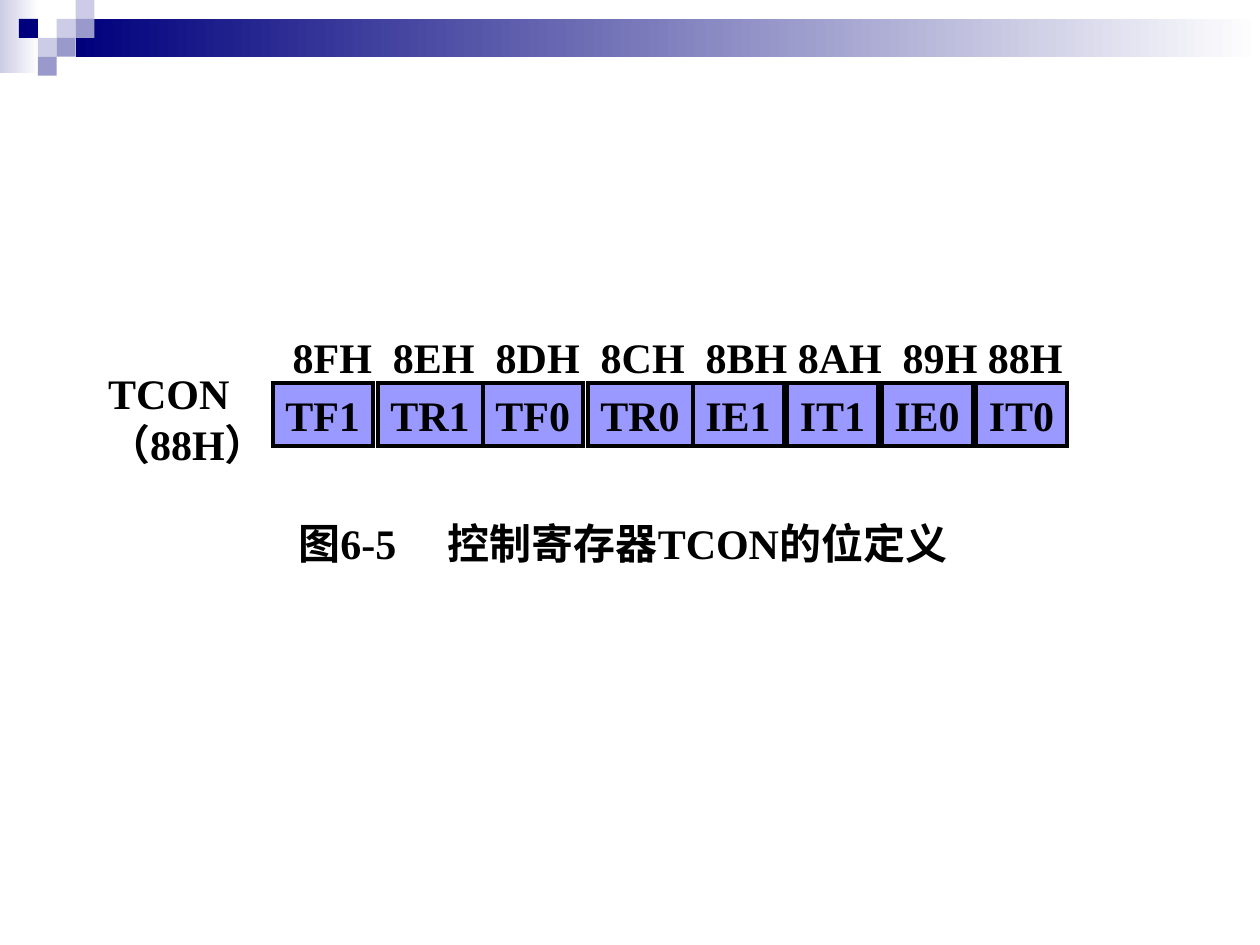
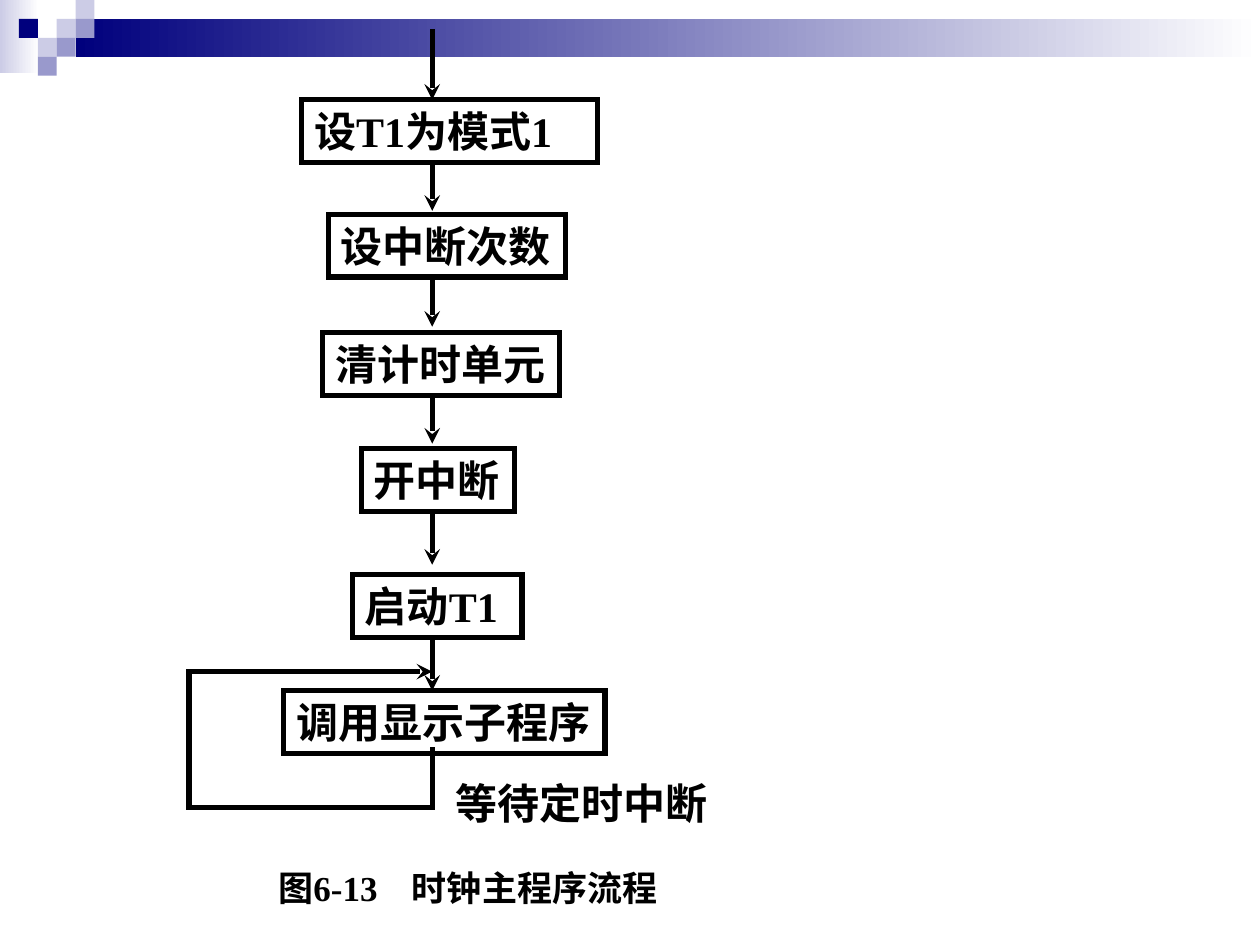
from dataclasses import dataclass
from itertools import pairwise
from typing import Optional

from lxml import etree
from pptx import Presentation
from pptx.dml.color import RGBColor
from pptx.enum.shapes import MSO_CONNECTOR, MSO_SHAPE
from pptx.enum.text import MSO_ANCHOR, MSO_AUTO_SIZE, PP_ALIGN
from pptx.oxml.ns import qn
from pptx.util import Pt

RECTANGLE = MSO_SHAPE.RECTANGLE
STRAIGHT = MSO_CONNECTOR.STRAIGHT
LEFT = PP_ALIGN.LEFT

WHITE = RGBColor(0xFF, 0xFF, 0xFF)
BLACK = RGBColor(0x00, 0x00, 0x00)
NAVY = RGBColor(0x00, 0x00, 0x7D)
PALE = RGBColor(0xCC, 0xCC, 0xE6)
MUTED = RGBColor(0x99, 0x99, 0xCC)
PERIWINKLE = RGBColor(0x99, 0x99, 0xFF)

FRAME_FORMAT = {
    "word_wrap": False,
    "auto_size": MSO_AUTO_SIZE.SHAPE_TO_FIT_TEXT,
    "vertical_anchor": MSO_ANCHOR.TOP,
}
FONT_FORMAT = {"name": "Times New Roman", "bold": True}

UNIT = 10.8  # side of one header square
ROW_HEIGHT = 36
FLOW_X = 247  # vertical axis of the flow
FLOW_LINE = 3


@dataclass(frozen=True)
class Area:
    left: float
    top: float
    width: float
    height: float = ROW_HEIGHT

    def lengths(self) -> tuple:
        return Pt(self.left), Pt(self.top), Pt(self.width), Pt(self.height)


@dataclass(frozen=True)
class Square:
    column: int
    row: int
    color: RGBColor


@dataclass(frozen=True)
class Bit:
    name: str
    address: str
    pitch: float
    width: float
    address_tab: float


@dataclass(frozen=True)
class Step:
    text: str
    area: Area
    arrow_top: float
    arrow_length: float = 27.5


SQUARES = [
    Square(3, 1, PALE), Square(4, 0, PALE), Square(4, 1, MUTED),
    Square(2, 2, PALE), Square(1, 1, NAVY), Square(3, 2, MUTED),
    Square(2, 3, MUTED),
]

BITS = [
    Bit("TF1", "8FH", 60, 57, 5.4),
    Bit("TR1", "8EH", 60, 60, 62.6),
    Bit("TF0", "8DH", 60, 57, 121.4),
    Bit("TR0", "8CH", 60, 60, 181.4),
    Bit("IE1", "8BH", 54, 52, 241.4),
    Bit("IT1", "8AH", 54, 52, 294),
    Bit("IE0", "89H", 54, 52, 354),
    Bit("IT0", "88H", 54, 52, 402.6),
]

STEPS = [
    Step("设T1为模式1", Area(172.4, 57, 169), 18, 39),
    Step("设中断次数", Area(187.6, 122.4, 135.5), 93),
    Step("清计时单元", Area(184.4, 190, 135.5), 159.2),
    Step("开中断", Area(206.4, 256.4, 87.5), 226),
    Step("启动T1", Area(201.4, 328.4, 97), 295.2),
    Step("调用显示子程序", Area(162.2, 394.6, 183.5), 367.2),
]

LOOP_CORNERS = [(FLOW_X, 428.4), (FLOW_X, 461.5), (108, 461.5),
                (108, 383.8), (FLOW_X, 383.8)]


def apply_format(target, values: dict) -> None:
    for attribute, value in values.items():
        setattr(target, attribute, value)


def write_text(shape, text: str, size: float, tabs: tuple = ()) -> None:
    frame = shape.text_frame
    apply_format(frame, FRAME_FORMAT)
    frame.text = text
    for paragraph in frame.paragraphs:
        paragraph.alignment = LEFT
        if tabs:
            stops = etree.SubElement(paragraph._p.get_or_add_pPr(), qn("a:tabLst"))
            for position in tabs:
                etree.SubElement(stops, qn("a:tab"), pos=str(Pt(position)), algn="l")
        for run in paragraph.runs:
            apply_format(run.font, {**FONT_FORMAT, "size": Pt(size)})
            run.font.color.rgb = BLACK


def add_label(slide, text: str, area: Area, size: float = 24, tabs: tuple = ()) -> None:
    write_text(slide.shapes.add_textbox(*area.lengths()), text, size, tabs)


def draw_black_line(line, width: float):
    """Set a black line with sharp corners and square ends."""
    line.color.rgb = BLACK
    line.width = Pt(width)
    outline = line._get_or_add_ln()
    outline.set("cap", "sq")
    etree.SubElement(outline, qn("a:miter"), lim="800000")
    return outline


def add_rectangle(slide, area: Area, color: Optional[RGBColor] = None,
                  line_width: float = 0):
    rectangle = slide.shapes.add_shape(RECTANGLE, *area.lengths())
    rectangle.shadow.inherit = False
    if color is None:
        rectangle.fill.background()
    else:
        rectangle.fill.solid()
        rectangle.fill.fore_color.rgb = color
    if line_width:
        draw_black_line(rectangle.line, line_width)
    else:
        rectangle.line.fill.background()
    return rectangle


def add_fading_band(slide, area: Area, color: RGBColor) -> None:
    fill = add_rectangle(slide, area).fill
    fill.gradient()
    fill.gradient_angle = 0
    for stop, stop_color in zip(fill.gradient_stops, (color, WHITE)):
        stop.color.rgb = stop_color


def add_flow_line(slide, start: tuple, end: tuple, arrow: bool = False) -> None:
    flow_line = slide.shapes.add_connector(STRAIGHT, *map(Pt, start + end))
    outline = draw_black_line(flow_line.line, FLOW_LINE)
    if arrow:
        etree.SubElement(outline, qn("a:tailEnd"), type="stealth")
    etree.SubElement(flow_line._element.spPr, qn("a:effectLst"))


def add_header(slide) -> None:
    add_fading_band(slide, Area(0, 0, 22.3, 41.8), PALE)
    add_fading_band(slide, Area(4 * UNIT, UNIT, 720 - 4 * UNIT, 2 * UNIT), NAVY)
    for square in SQUARES:
        area = Area(square.column * UNIT, square.row * UNIT, UNIT, UNIT)
        add_rectangle(slide, area, square.color)


def build_register_slide(slide) -> None:
    # Bit cells, left to right from the highest bit
    left = 156
    for bit in BITS:
        cell = add_rectangle(slide, Area(left, 219, bit.width), PERIWINKLE, 2.25)
        write_text(cell, bit.name, 24)
        left += bit.pitch

    # Register name, bit addresses and caption
    add_label(slide, "TCON\n（88H）", Area(54.7, 206.6, 116.6, 64.8))
    addresses = "".join("\t" + bit.address for bit in BITS)
    add_label(slide, addresses, Area(154.8, 185.8, 460),
              tabs=tuple(bit.address_tab for bit in BITS))
    add_label(slide, "图6-5\t控制寄存器TCON的位定义", Area(163.4, 292.3, 396.7),
              tabs=(85.4,))


def build_flow_slide(slide) -> None:
    # Steps, each with the arrow that leads into it
    for step in STEPS:
        write_text(add_rectangle(slide, step.area, line_width=FLOW_LINE), step.text, 24)
        add_flow_line(slide, (FLOW_X, step.arrow_top),
                      (FLOW_X, step.arrow_top + step.arrow_length), arrow=True)

    # Waiting loop back to the display step
    for start, end in pairwise(LOOP_CORNERS):
        add_flow_line(slide, start, end, arrow=end == LOOP_CORNERS[-1])

    add_label(slide, "等待定时中断", Area(253.2, 440.6, 159.5))
    add_label(slide, "图6-13\t时钟主程序流程", Area(152, 491.8, 231, 31.7),
              size=20, tabs=(76.3,))


def main() -> None:
    deck = Presentation()
    deck.slide_width, deck.slide_height = Pt(720), Pt(540)
    for build in (build_register_slide, build_flow_slide):
        slide = deck.slides.add_slide(deck.slide_layouts[6])
        add_header(slide)
        build(slide)
    deck.save("out.pptx")


if __name__ == "__main__":
    main()
